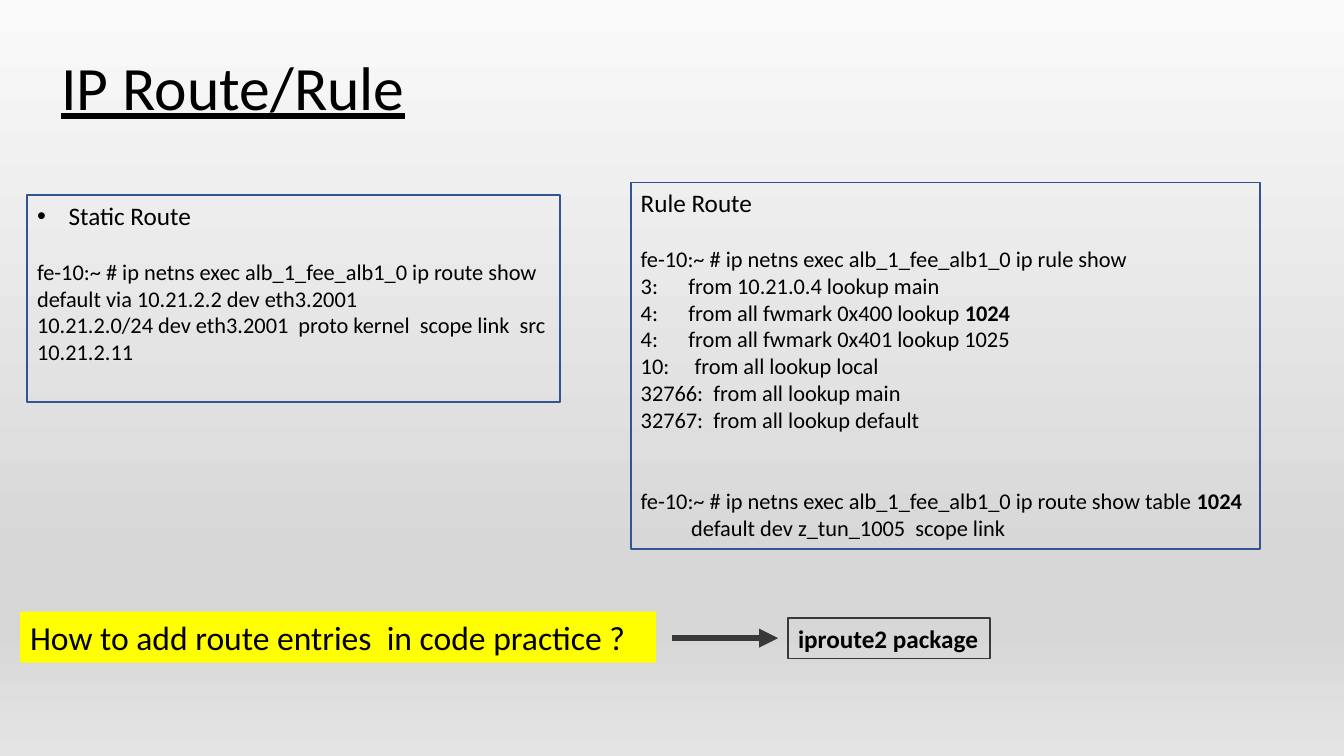
from lxml.etree import SubElement
from pptx import Presentation
from pptx.dml.color import RGBColor
from pptx.enum.shapes import MSO_CONNECTOR
from pptx.enum.text import MSO_ANCHOR, PP_ALIGN
from pptx.oxml.ns import qn
from pptx.util import Pt

FONT = "Calibri"
BLACK, BLUE, GREY, YELLOW = "000000", "325491", "3B3838", "FFFF00"
STOPS = [(0, "FAFAFA"), (74, "D7D7D7"), (83, "D7D7D7"), (100, "E4E4E4")]
LINE = 19.5

STATIC = [
    ("Static Route", {"size": 18, "bullet": "•", "left": 22.5}),
    ("fe-10:~ # ip netns exec alb_1_fee_alb1_0 ip route show", {"gap": LINE}),
    ("default via 10.21.2.2 dev eth3.2001", {}),
    ("10.21.2.0/24 dev eth3.2001  proto kernel  scope link  src 10.21.2.11", {}),
]
RULES = [
    ("Rule Route", {"size": 18}),
    ("fe-10:~ # ip netns exec alb_1_fee_alb1_0 ip rule show", {"gap": LINE}),
    ("3:\tfrom 10.21.0.4 lookup main", {"tab": 34}),
    ("4:\tfrom all fwmark 0x400 lookup *1024", {"tab": 34}),
    ("4:\tfrom all fwmark 0x401 lookup 1025", {"tab": 34}),
    ("10:\tfrom all lookup local", {"tab": 38.5}),
    ("32766:  from all lookup main", {}),
    ("32767:  from all lookup default", {}),
    ("fe-10:~ # ip netns exec alb_1_fee_alb1_0 ip route show table *1024",
     {"gap": 2 * LINE}),
    ("default dev z_tun_1005  scope link", {"left": 36}),
]


def color(code):
    return RGBColor.from_string(code)


def style(run, **extra):
    values = {"name": FONT, "size": Pt(16), "bold": False, **extra}
    for key, value in values.items():
        setattr(run.font, key, value)
    run.font.color.rgb = color(BLACK)


def paint(slide):
    fill = slide.background.fill
    fill.gradient()
    fill.gradient_angle = 270
    stops = slide.element.find(".//" + qn("a:gsLst"))
    for old in list(stops):
        stops.remove(old)
    for place, code in STOPS:
        stop = SubElement(stops, qn("a:gs"), pos=str(place * 1000))
        SubElement(stop, qn("a:srgbClr"), val=code)


def head(slide, text):
    title = slide.shapes.title
    spot = {"left": 36.7, "top": 12.2, "width": 828, "height": 104.4}
    for key, value in spot.items():
        setattr(title, key, Pt(value))
    title.text_frame.vertical_anchor = MSO_ANCHOR.MIDDLE
    para = title.text_frame.paragraphs[0]
    para.alignment = PP_ALIGN.LEFT
    para.line_spacing = 0.9
    run = para.add_run()
    run.text = text
    style(run, size=Pt(44), underline=True)


def write(para, text, size=16, bold=False, gap=0, left=0, tab=0, bullet=""):
    para.space_before = Pt(gap)
    props = para._p.get_or_add_pPr()
    if left:
        props.set("marL", str(Pt(left)))
        props.set("indent", str(Pt(-left if bullet else 0)))
    if bullet:
        SubElement(props, qn("a:buFont"), typeface="Arial")
        SubElement(props, qn("a:buChar"), char=bullet)
    if tab:
        tabs = SubElement(props, qn("a:tabLst"))
        SubElement(tabs, qn("a:tab"), pos=str(Pt(tab)), algn="l")
    for index, part in enumerate(text.split("*")):
        run = para.add_run()
        run.text = part
        style(run, size=Pt(size), bold=bold or index == 1)


def panel(slide, spot, rows, line=None, fill=None):
    box = slide.shapes.add_textbox(*map(Pt, spot))
    if line:
        box.line.color.rgb = color(line)
        box.line.width = Pt(1.25)
    if fill:
        box.fill.solid()
        box.fill.fore_color.rgb = color(fill)
    frame = box.text_frame
    frame.word_wrap = True
    for index, (text, look) in enumerate(rows):
        para = frame.add_paragraph() if index else frame.paragraphs[0]
        write(para, text, **look)


def arrow(slide, start, end, level):
    link = slide.shapes.add_connector(
        MSO_CONNECTOR.STRAIGHT, Pt(start), Pt(level), Pt(end), Pt(level))
    link.line.color.rgb = color(GREY)
    link.line.width = Pt(4.5)
    SubElement(link.line._get_or_add_ln(), qn("a:tailEnd"), type="triangle")
    SubElement(link._element.spPr, qn("a:effectLst"))


def main():
    deck = Presentation()
    deck.slide_width, deck.slide_height = Pt(960), Pt(540)
    slide = deck.slides.add_slide(deck.slide_layouts[5])
    paint(slide)
    head(slide, "IP Route/Rule")
    panel(slide, (14.4, 437, 454.3, 36.4),
          [("How to add route entries  in code practice ?", {"size": 24})],
          fill=YELLOW)
    panel(slide, (563, 441.4, 144, 29),
          [("iproute2 package", {"size": 18, "bold": True})], line=GREY)
    arrow(slide, 480.2, 555.8, 455.8)
    panel(slide, (19.4, 139.5, 380.9, 147.6), STATIC, line=BLUE)
    panel(slide, (450.6, 130.3, 449.3, 262), RULES, line=BLUE)
    deck.save("out.pptx")


if __name__ == "__main__":
    main()
